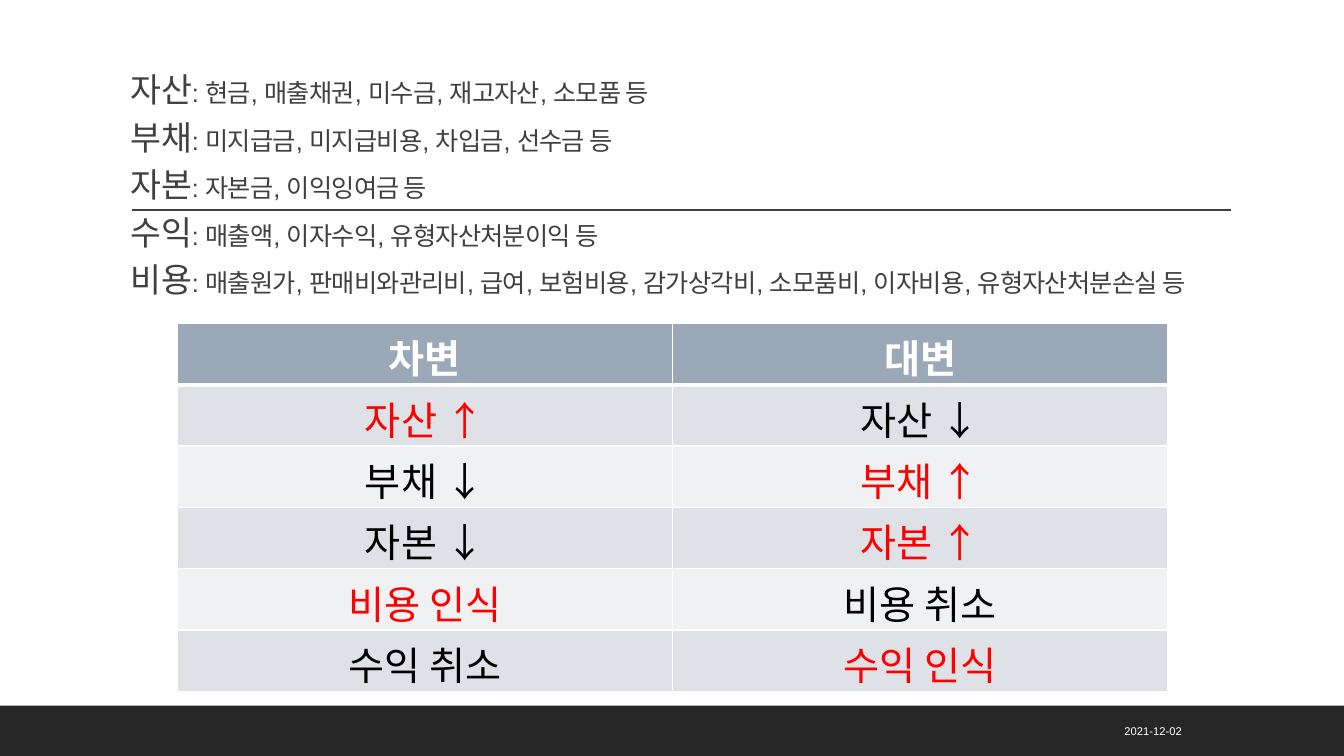
import dataclasses
import typing

import lxml.etree
import pptx
import pptx.dml.color
import pptx.enum.shapes
import pptx.enum.text
import pptx.oxml.ns
import pptx.util

WIDTH, HEIGHT = pptx.util.Inches(13.33), pptx.util.Inches(7.5)
COLUMNS, ROWS = 160, 90
WHITE, DARK, GREY = "FFFFFF", "262626", "404040"
RED, BLACK = "FF0000", "000000"
HEADER, BANDS = "9BA8B7", ("DEE1E6", "EFF1F3")
ALIGN = pptx.enum.text.PP_ALIGN
ANCHOR = pptx.enum.text.MSO_ANCHOR


@dataclasses.dataclass(frozen=True)
class Box:
    column: float
    row: float
    columns: float
    rows: float

    def place(self) -> tuple[int, int, int, int]:
        return x(self.column), y(self.row), x(self.columns), y(self.rows)


@dataclasses.dataclass(frozen=True)
class Account:
    name: str
    examples: str


@dataclasses.dataclass(frozen=True)
class Entry:
    debit: str
    credit: str


ACCOUNTS = (
    Account("자산", "현금, 매출채권, 미수금, 재고자산, 소모품 등"),
    Account("부채", "미지급금, 미지급비용, 차입금, 선수금 등"),
    Account("자본", "자본금, 이익잉여금 등"),
    Account("수익", "매출액, 이자수익, 유형자산처분이익 등"),
    Account("비용", "매출원가, 판매비와관리비, 급여, 보험비용, 감가상각비, "
                  "소모품비, 이자비용, 유형자산처분손실 등"),
)
ENTRIES = (
    Entry("차변", "대변"),
    Entry("자산 ↑", "자산 ↓"),
    Entry("부채 ↓", "부채 ↑"),
    Entry("자본 ↓", "자본 ↑"),
    Entry("비용 인식", "비용 취소"),
    Entry("수익 취소", "수익 인식"),
)


def x(columns: float) -> int:
    return round(WIDTH * columns / COLUMNS)


def y(rows: float) -> int:
    return round(HEIGHT * rows / ROWS)


def colour(value: str) -> pptx.dml.color.RGBColor:
    return pptx.dml.color.RGBColor.from_string(value)


def set_font(font: typing.Any, name: str, value: str,
             size: typing.Optional[float] = None, bold: bool = False) -> None:
    font.name = name
    font.bold = bold
    font.color.rgb = colour(value)
    if size:
        font.size = pptx.util.Pt(size)


def add_bar(slide: typing.Any, box: Box) -> None:
    sp = slide.shapes.add_shape(
        pptx.enum.shapes.MSO_SHAPE.RECTANGLE, *box.place())
    sp.shadow.inherit = False
    sp.fill.solid()
    sp.fill.fore_color.rgb = colour(DARK)
    sp.line.fill.background()


def add_rule(slide: typing.Any, start: float, end: float, row: float) -> None:
    line = slide.shapes.add_connector(
        pptx.enum.shapes.MSO_CONNECTOR.STRAIGHT, x(start), y(row), x(end), y(row))
    line.line.color.rgb = colour(GREY)
    line.line.width = pptx.util.Pt(1)
    lxml.etree.SubElement(line._element.spPr, pptx.oxml.ns.qn("a:effectLst"))


def add_text_frame(slide: typing.Any, box: Box, anchor: ANCHOR) -> typing.Any:
    tf = slide.shapes.add_textbox(*box.place()).text_frame
    tf.word_wrap = True
    tf.vertical_anchor = anchor
    return tf


def add_accounts(slide: typing.Any, box: Box) -> None:
    tf = add_text_frame(slide, box, ANCHOR.BOTTOM)
    for i, account in enumerate(ACCOUNTS):
        p = tf.add_paragraph() if i else tf.paragraphs[0]
        p.line_spacing = 0.9
        p.space_after = pptx.util.Pt(8)
        set_font(p.font, "Arial", GREY)
        indent = pptx.util.Inches(0.38)
        pPr = p._p.get_or_add_pPr()
        pPr.set("marL", str(indent))
        pPr.set("indent", str(-indent))
        for text, size in ((account.name, 24), (f": {account.examples}", 18)):
            r = p.add_run()
            r.text = text
            r.font.size = pptx.util.Pt(size)
            r._r.get_or_add_rPr().set("spc", "-50")


def add_date(slide: typing.Any, box: Box, text: str) -> None:
    p = add_text_frame(slide, box, ANCHOR.MIDDLE).paragraphs[0]
    p.text = text
    p.alignment = ALIGN.RIGHT
    p.space_after = pptx.util.Pt(6)
    set_font(p.font, "Arial", WHITE, 8)


def add_border(cell: typing.Any, side: str, width: float) -> None:
    tcPr = cell._tc.get_or_add_tcPr()
    ln = lxml.etree.SubElement(
        tcPr, pptx.oxml.ns.qn(f"a:ln{side}"), w=str(pptx.util.Pt(width)))
    fill = lxml.etree.SubElement(ln, pptx.oxml.ns.qn("a:solidFill"))
    lxml.etree.SubElement(fill, pptx.oxml.ns.qn("a:srgbClr"), val=WHITE)


def fill_cell(cell: typing.Any, text: str, row: int) -> None:
    is_header = row == 0
    widths = {"L": 1, "R": 1, "T": 3 if row == 1 else 1, "B": 3 if is_header else 1}
    for side, width in widths.items():
        add_border(cell, side, width)
    cell.fill.solid()
    cell.fill.fore_color.rgb = colour(HEADER if is_header else BANDS[(row - 1) % 2])
    p = cell.text_frame.paragraphs[0]
    p.text = text
    p.alignment = ALIGN.CENTER
    is_normal_side = text in ("자산 ↑", "부채 ↑", "자본 ↑") or text.endswith("인식")
    value = WHITE if is_header else RED if is_normal_side else BLACK
    set_font(p.font, "Karla", value, 28, is_header)


def add_entries(slide: typing.Any, box: Box) -> None:
    table = slide.shapes.add_table(len(ENTRIES), 2, *box.place()).table
    table.horz_banding = False
    for row, entry in enumerate(ENTRIES):
        for column, text in enumerate((entry.debit, entry.credit)):
            fill_cell(table.cell(row, column), text, row)


def main() -> None:
    prs = pptx.Presentation()
    prs.slide_width, prs.slide_height = WIDTH, HEIGHT
    slide = prs.slides.add_slide(prs.slide_layouts[6])
    add_bar(slide, Box(0, 84, COLUMNS, 6))
    add_rule(slide, 15.72, 146.56, 25)
    add_accounts(slide, Box(14.4, 5.28, 142.6, 31))
    add_date(slide, Box(107.9, 84.6, 34, 4.8), "2021-12-02")
    add_entries(slide, Box(21.12, 38.5, 117.9, 43.8))
    prs.save("out.pptx")


if __name__ == "__main__":
    main()
